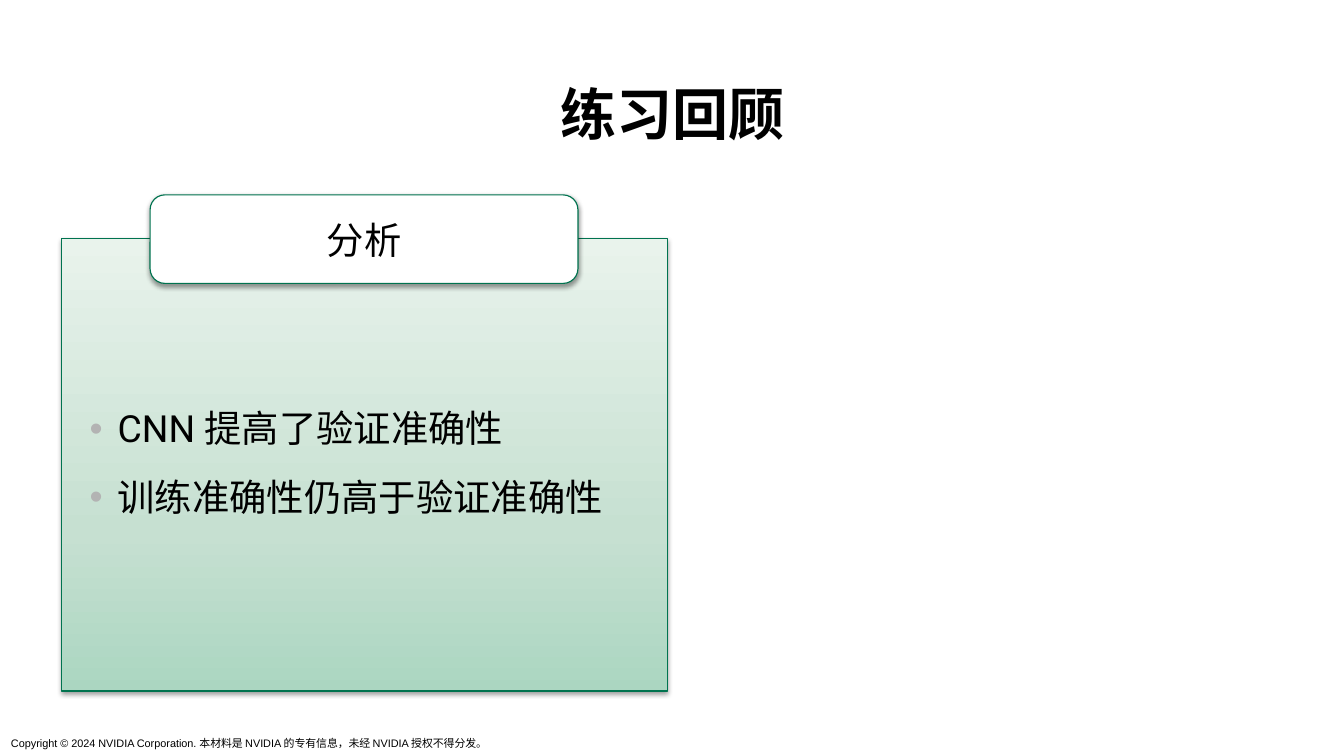
from copy import deepcopy

from lxml import etree
from pptx import Presentation
from pptx.dml.color import RGBColor as RGB
from pptx.enum.shapes import MSO_SHAPE as SHAPE
from pptx.enum.text import MSO_ANCHOR as ANCHOR, MSO_AUTO_SIZE as AUTO, PP_ALIGN as ALIGN
from pptx.oxml.ns import qn
from pptx.util import Inches, Pt

COLORS = {
    "text": "000000",
    "bullet": "B3B3B3",
    "outline": "00734F",
    "card": "FFFFFF",
    "shadow": "000000",
    "bottom": "ABD6C1",
    "middle": "C6E0D1",
    "top": "E9F3EC",
}


def rgb(name):
    return RGB.from_string(COLORS[name])


class SlideBuilder:
    font = "Roboto"
    footer_font = "Arial"

    def __init__(self, slide):
        self.slide = slide

    def place(self, sp, box):
        sp.left, sp.top, sp.width, sp.height = (Inches(v) for v in box)

    def run(self, p, text, size, font=None, bold=False):
        r = p.add_run()
        r.text = text
        r.font.name = font or self.font
        r.font.size = Pt(size)
        r.font.bold = bold
        r.font.color.rgb = rgb("text")

    def outline(self, sp):
        sp.line.color.rgb = rgb("outline")
        sp.line.width = Pt(0.75)
        effects = etree.SubElement(sp._element.spPr, qn("a:effectLst"))
        shadow = etree.SubElement(effects, qn("a:outerShdw"), blurRad=str(Pt(3.1)),
                                  dist=str(Pt(1.6)), dir="5400000", rotWithShape="0")
        color = etree.SubElement(shadow, qn("a:srgbClr"), val=COLORS["shadow"])
        etree.SubElement(color, qn("a:alpha"), val="38000")

    def gradient(self, sp, stops):
        sp.fill.gradient()
        sp.fill.gradient_angle = 90
        gs_list = sp._element.spPr.find(".//" + qn("a:gsLst"))
        while len(gs_list) < len(stops):
            gs_list.append(deepcopy(gs_list[-1]))
        for stop, (position, name) in zip(sp.fill.gradient_stops, stops):
            stop.position = position
            stop.color.rgb = rgb(name)

    def bullet(self, p):
        pPr = p._p.get_or_add_pPr()
        pPr.set("marL", str(Inches(0.4)))
        pPr.set("indent", str(Inches(-0.25)))
        color = etree.SubElement(pPr, qn("a:buClr"))
        etree.SubElement(color, qn("a:srgbClr"), val=COLORS["bullet"])
        etree.SubElement(pPr, qn("a:buFont"), typeface="Arial")
        etree.SubElement(pPr, qn("a:buChar"), char="•")

    def title(self, text, box):
        sp = self.slide.shapes.title
        self.place(sp, box)
        tf = sp.text_frame
        tf.auto_size = AUTO.NONE
        tf.vertical_anchor = ANCHOR.BOTTOM
        p = tf.paragraphs[0]
        p.alignment = ALIGN.CENTER
        p.line_spacing = 0.9
        self.run(p, text, 36, bold=True)

    def panel(self, items, box):
        sp = self.slide.placeholders[1]
        self.place(sp, box)
        self.gradient(sp, [(0, "bottom"), (0.35, "middle"), (1, "top")])
        self.outline(sp)
        tf = sp.text_frame
        tf.auto_size = AUTO.NONE
        tf.vertical_anchor = ANCHOR.MIDDLE
        for i, text in enumerate(items):
            p = tf.add_paragraph() if i else tf.paragraphs[0]
            self.bullet(p)
            p.line_spacing = 0.9
            p.space_before = Pt(18 if i else 0)
            self.run(p, text, 24)

    def header(self, text, box):
        sp = self.slide.shapes.add_shape(SHAPE.ROUNDED_RECTANGLE, *(Inches(v) for v in box))
        sp.fill.solid()
        sp.fill.fore_color.rgb = rgb("card")
        self.outline(sp)
        tf = sp.text_frame
        tf.word_wrap = True
        tf.vertical_anchor = ANCHOR.MIDDLE
        p = tf.paragraphs[0]
        p.alignment = ALIGN.CENTER
        self.run(p, text, 24)

    def footer(self, text, box):
        sp = self.slide.shapes.add_textbox(*(Inches(v) for v in box))
        tf = sp.text_frame
        tf.word_wrap = False
        tf.auto_size = AUTO.SHAPE_TO_FIT_TEXT
        p = tf.paragraphs[0]
        p.alignment = ALIGN.LEFT
        self.run(p, text, 7, font=self.footer_font)


def main():
    prs = Presentation()
    prs.slide_width = Inches(12)
    prs.slide_height = Inches(6.75)
    s = SlideBuilder(prs.slides.add_slide(prs.slide_layouts[1]))
    s.title("练习回顾", (0.55, 0.72, 10.91, 0.65))
    s.panel(["CNN 提高了验证准确性", "训练准确性仍高于验证准确性"], (0.55, 2.13, 5.41, 4.04))
    s.header("分析", (1.34, 1.74, 3.82, 0.79))
    s.footer("Copyright © 2024 NVIDIA Corporation. 本材料是 NVIDIA 的专有信息，未经 NVIDIA 授权不得分发。",
             (0, 6.53, 4.53, 0.22))
    prs.save("out.pptx")


if __name__ == "__main__":
    main()
